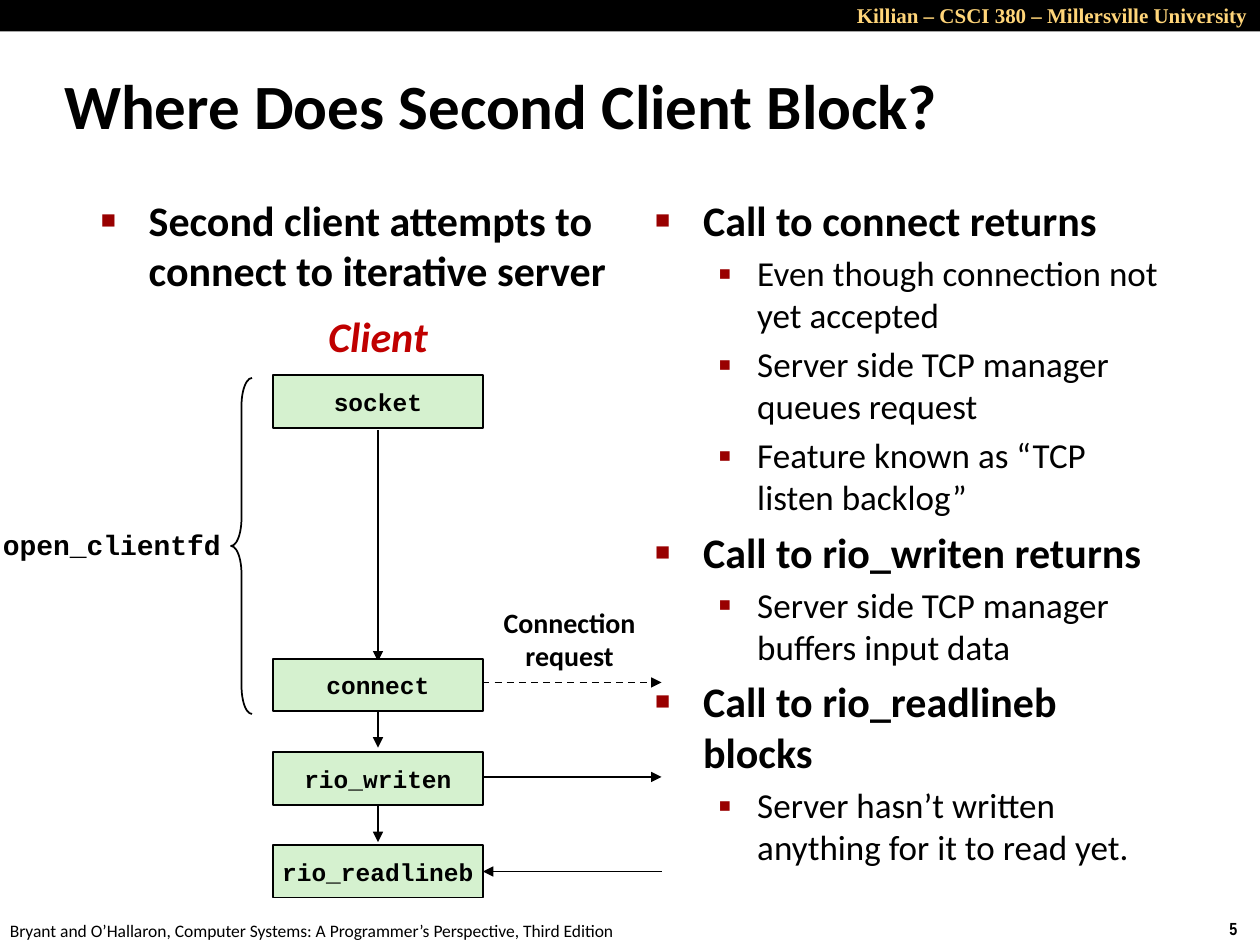
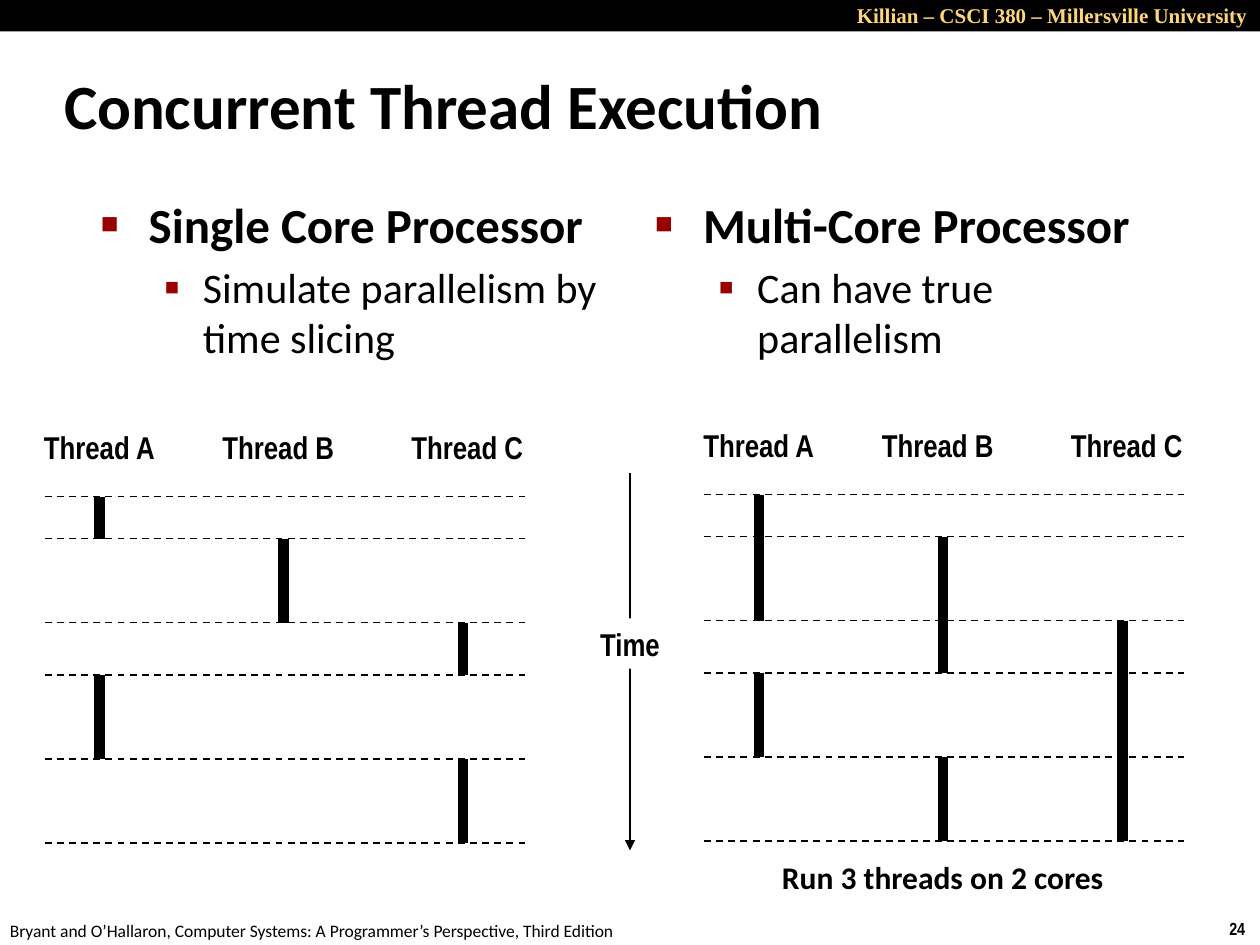
from dataclasses import dataclass
from lxml import etree
from pptx import Presentation
from pptx import util as u
from pptx.dml.color import RGBColor
from pptx.enum import dml, shapes, text
from pptx.oxml.ns import qn

BLACK = RGBColor(0x00, 0x00, 0x00)
WHITE = RGBColor(0xFF, 0xFF, 0xFF)
GOLD = RGBColor(0xFF, 0xD5, 0x79)
RED = RGBColor(0xC0, 0x00, 0x00)
BULLET_RED = RGBColor(0x99, 0x00, 0x00)
MINT = RGBColor(0xD5, 0xF1, 0xCF)

SANS, NARROW, MONO, SERIF = "Calibri", "Arial Narrow", "Courier New", "Times New Roman"
LEFT, CENTER, RIGHT = text.PP_ALIGN.LEFT, text.PP_ALIGN.CENTER, text.PP_ALIGN.RIGHT
TOP, MIDDLE = text.MSO_ANCHOR.TOP, text.MSO_ANCHOR.MIDDLE

COLS, ROWS = 120, 90
SLIDE_W, SLIDE_H = u.Inches(10), u.Inches(7.5)
BULLETS = [("■", 0.38, -0.38, 60), ("▪", 0.81, -0.31, 110)]
TIMES = [0, 4, 12, 17, 25, 33]
LANES = [6.5, 24, 41.1]


@dataclass
class Box:
    x: float
    y: float
    w: float
    h: float

    def inner(self, x, y, w, h):
        return Box(self.x + x, self.y + y, w, h)

    def emu(self):
        cw, rh = SLIDE_W / COLS, SLIDE_H / ROWS
        return [round(v) for v in (self.x * cw, self.y * rh, self.w * cw, self.h * rh)]


PAGE = Box(0, 0, COLS, ROWS)
LEFT_COLUMN = PAGE.inner(8.4, 17.9, 50.8, 65.3)
RIGHT_COLUMN = PAGE.inner(61.2, 17.9, 50.8, 65.3)


def add_run(p, content, size, font=SANS, color=BLACK, bold=True, italic=False):
    r = p.add_run()
    r.text = content
    f = r.font
    f.size, f.name, f.bold, f.italic = u.Pt(size), font, bold, italic
    f.color.rgb = color


def write_lines(sp, content, size, align=LEFT, anchor=TOP, wrap=False, **style):
    tf = sp.text_frame
    tf.word_wrap, tf.vertical_anchor = wrap, anchor
    for i, line in enumerate(content.split("\n")):
        p = tf.add_paragraph() if i else tf.paragraphs[0]
        p.alignment = align
        add_run(p, line, size, **style)


def add_label(s, box, content, size, **style):
    sp = s.shapes.add_textbox(*box.emu())
    write_lines(sp, content, size, **style)


def add_box(s, box, fill, line=None, kind=shapes.MSO_SHAPE.RECTANGLE):
    sp = s.shapes.add_shape(kind, *box.emu())
    sp.shadow.inherit = False
    if fill is None:
        sp.fill.background()
    else:
        sp.fill.solid()
        sp.fill.fore_color.rgb = fill
    if line is None:
        sp.line.fill.background()
    else:
        sp.line.color.rgb = line
        sp.line.width = u.Pt(1)
    return sp


def add_line(s, box, start, end, width=1, dashed=False, arrow=False):
    x1, y1, _, _ = box.inner(*start, 0, 0).emu()
    x2, y2, _, _ = box.inner(*end, 0, 0).emu()
    c = s.shapes.add_connector(shapes.MSO_CONNECTOR.STRAIGHT, x1, y1, x2, y2)
    c.line.color.rgb = BLACK
    c.line.width = u.Pt(width)
    if dashed:
        c.line.dash_style = dml.MSO_LINE.DASH
    spPr = c.element.spPr
    if arrow:
        etree.SubElement(spPr.find(qn("a:ln")), qn("a:tailEnd"), type="triangle")
    etree.SubElement(spPr, qn("a:effectLst"))


def set_indent(p, left, hanging):
    pPr = p._p.get_or_add_pPr()
    pPr.set("marL", str(u.Inches(left)))
    pPr.set("indent", str(u.Inches(hanging)))
    return pPr


def add_bullet(p, level):
    char, left, hanging, percent = BULLETS[level]
    p.level = level
    pPr = set_indent(p, left, hanging)
    color = etree.SubElement(pPr, qn("a:buClr"))
    etree.SubElement(color, qn("a:srgbClr"), val=str(BULLET_RED))
    etree.SubElement(pPr, qn("a:buSzPct"), val=str(percent * 1000))
    etree.SubElement(pPr, qn("a:buFont"), typeface="Arial")
    etree.SubElement(pPr, qn("a:buChar"), char=char)


def move(sp, box):
    sp.left, sp.top, sp.width, sp.height = box.emu()
    sp.text_frame.auto_size = text.MSO_AUTO_SIZE.NONE


def fill_list(sp, box, items, sizes):
    move(sp, box)
    tf = sp.text_frame
    tf.word_wrap, tf.vertical_anchor = True, TOP
    for i, (level, content) in enumerate(items):
        p = tf.add_paragraph() if i else tf.paragraphs[0]
        add_bullet(p, level)
        p.space_before = u.Pt(0.2 * sizes[level] if i else 0)
        add_run(p, content, sizes[level], bold=level == 0)


def add_frame(s, box, number):
    add_box(s, box.inner(0, 0, box.w, 3), BLACK)
    add_label(s, box.inner(54, -0.36, 66, 3.6), "Killian – CSCI 380 – Millersville University",
              12, align=RIGHT, wrap=True, font=SERIF, color=GOLD)
    add_label(s, box.inner(-0.24, 87, 61, 3.2),
              "Bryant and O’Hallaron, Computer Systems: A Programmer’s Perspective, Third Edition",
              10, bold=False)
    add_label(s, box.inner(115.9, 86.8, 4.1, 3.2), str(number), 10, font=NARROW)


def add_two_column_slide(prs, number, title, left, right, sizes, left_box=LEFT_COLUMN):
    s = prs.slides.add_slide(prs.slide_layouts[3])
    head, first, second = s.placeholders
    move(head, PAGE.inner(4.9, 4.9, 99.6, 10))
    write_lines(head, title, 36, anchor=MIDDLE, wrap=True)
    set_indent(head.text_frame.paragraphs[0], 0.13, -0.13)
    fill_list(first, left_box, left, sizes)
    fill_list(second, RIGHT_COLUMN, right, sizes)
    add_frame(s, PAGE, number)
    return s


def add_client_diagram(s, box):
    add_label(s, box.inner(31, 0, 12, 6), "Client", 24,
              align=CENTER, anchor=MIDDLE, color=RED, italic=True)
    for top, bottom in [(12, 34), (38.2, 42.2), (47.2, 51.2)]:
        add_line(s, box, (37, top), (37, bottom), arrow=True)
    for row, start, end, dashed in [(36, 40, 64, True), (45, 47, 64, False), (54, 64, 47, False)]:
        add_line(s, box, (start, row), (end, row), dashed=dashed, arrow=True)
    calls = [("socket", 6.75), ("connect", 33.75), ("rio_writen", 42.65), ("rio_readlineb", 51.5)]
    for call, top in calls:
        sp = add_box(s, box.inner(27, top, 20, 5), MINT, BLACK)
        write_lines(sp, call, 14, align=CENTER, anchor=MIDDLE, font=MONO)
    add_label(s, box.inner(47.7, 28, 15.1, 7.7), "Connection\nrequest", 16,
              align=CENTER, anchor=MIDDLE)
    brace = add_box(s, box.inner(23, 7, 2, 32), None, BLACK, shapes.MSO_SHAPE.LEFT_BRACE)
    brace.adjustments[0] = 1.33
    add_label(s, box.inner(0, 20.6, 23.3, 4.4), "open_clientfd", 16,
              align=CENTER, anchor=MIDDLE, font=MONO)


def add_thread_chart(s, box, bars):
    for name, x in zip("ABC", (0, 17, 35)):
        add_label(s, box.inner(x, 0, 13.2, 4.8), f"Thread {name}", 18, font=NARROW)
    plot = box.inner(0, 7.1, box.w, TIMES[-1])
    for lane, start, end in bars:
        x = LANES[lane]
        add_line(s, plot, (x, TIMES[start]), (x, TIMES[end]), width=6)
    for row in TIMES:
        add_line(s, plot, (1.25, row), (box.w, row), dashed=True)


def add_time_axis(s, box):
    middle = box.w / 2
    add_line(s, box, (middle, 0), (middle, box.h), arrow=True)
    sp = add_box(s, box.inner(0, 13.9, box.w, 4.8), WHITE)
    write_lines(sp, "Time", 18, align=CENTER, font=NARROW)


def build_blocking_slide(prs):
    s = add_two_column_slide(
        prs, 5, "Where Does Second Client Block?",
        [(0, "Second client attempts to connect to iterative server")],
        [(0, "Call to connect returns"),
         (1, "Even though connection not yet accepted"),
         (1, "Server side TCP manager queues request"),
         (1, "Feature known as “TCP listen backlog”"),
         (0, "Call to rio_writen returns"),
         (1, "Server side TCP manager buffers input data"),
         (0, "Call to rio_readlineb blocks"),
         (1, "Server hasn’t written anything for it to read yet.")],
        (24, 20), LEFT_COLUMN.inner(0, 0, LEFT_COLUMN.w, 14.2))
    add_client_diagram(s, PAGE.inner(-1, 29, 64, 56.5))


def build_threads_slide(prs):
    s = add_two_column_slide(
        prs, 24, "Concurrent Thread Execution",
        [(0, "Single Core Processor"), (1, "Simulate parallelism by time slicing")],
        [(0, "Multi-Core Processor"), (1, "Can have true parallelism")],
        (28, 24))
    add_time_axis(s, PAGE.inner(55.9, 45, 8.2, 36))
    add_thread_chart(s, PAGE.inner(3, 40.2, 47, 40),
                     [(0, 0, 1), (1, 1, 2), (2, 2, 3), (0, 3, 4), (2, 4, 5)])
    add_thread_chart(s, PAGE.inner(65.8, 40, 47, 40),
                     [(0, 0, 2), (1, 1, 3), (2, 2, 5), (0, 3, 4), (1, 4, 5)])
    add_label(s, PAGE.inner(73.3, 81.1, 33.4, 4.8), "Run 3 threads on 2 cores", 18)


def main():
    prs = Presentation()
    prs.slide_width, prs.slide_height = SLIDE_W, SLIDE_H
    build_blocking_slide(prs)
    build_threads_slide(prs)
    prs.save("out.pptx")


if __name__ == "__main__":
    main()
